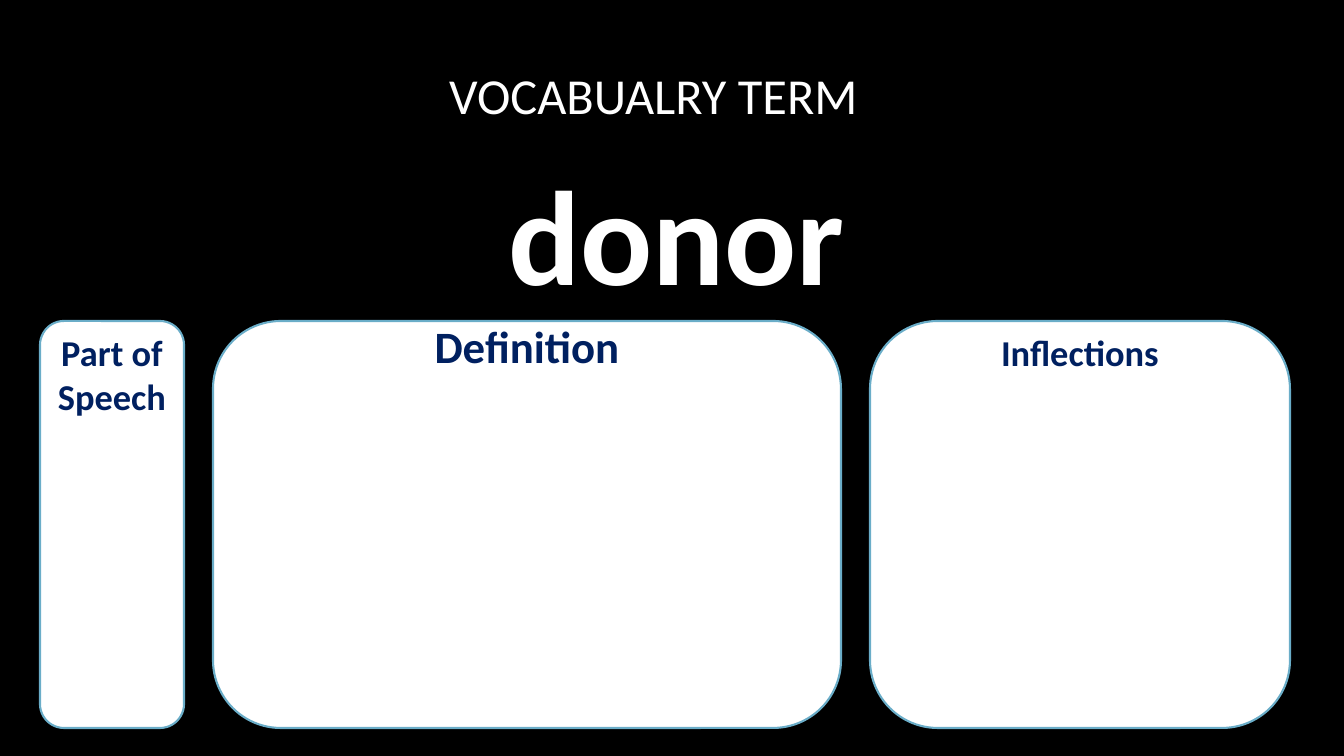
from pptx import Presentation
from pptx.dml.color import RGBColor
from pptx.enum.shapes import MSO_SHAPE
from pptx.enum.text import MSO_ANCHOR, PP_ALIGN
from pptx.util import Pt

ROUNDED = MSO_SHAPE.ROUNDED_RECTANGLE
MIDDLE = MSO_ANCHOR.MIDDLE
CENTER = PP_ALIGN.CENTER

# Content
TITLE = "VOCABUALRY TERM"
TERM = "donor"
CARDS = [  # heading, width, font size, space kept free below the heading
    ("Part of Speech", 144, 26, 301),
    ("Definition", 628, 32, 357),
    ("Inflections", 420, 26, 345),
]

# Layout in px
SCALE = 914400 / 100.8
SLIDE_WIDTH, SLIDE_HEIGHT = 1344, 756
HEAD_LEFT, HEAD_WIDTH = 118, 1117
TITLE_TOP, TITLE_HEIGHT = 46, 97
TERM_TOP, TERM_HEIGHT = 143, 177
CARD_LEFT, CARD_TOP, CARD_HEIGHT, CARD_GAP = 40, 321, 407, 29

BLACK, WHITE, NAVY, BLUE = "000000", "FFFFFF", "002060", "6AADC8"


def px(length):
    return round(length * SCALE)


def color(value):
    return RGBColor.from_string(value)


def write(shape, text, font_color, margins, **font_format):
    frame = shape.text_frame
    frame.word_wrap = True
    frame.vertical_anchor = MIDDLE
    for side, margin in zip(("left", "top", "right", "bottom"), margins):
        setattr(frame, f"margin_{side}", px(margin))
    paragraph = frame.paragraphs[0]
    paragraph.text = text
    paragraph.alignment = CENTER
    paragraph.line_spacing = 1.0
    font = paragraph.runs[0].font
    font.color.rgb = color(font_color)
    for name, value in {"name": "Calibri", **font_format}.items():
        setattr(font, name, value)


presentation = Presentation()
presentation.slide_width = px(SLIDE_WIDTH)
presentation.slide_height = px(SLIDE_HEIGHT)
slide = presentation.slides.add_slide(presentation.slide_layouts[5])
slide.background.fill.solid()
slide.background.fill.fore_color.rgb = color(BLACK)

# Title, set a little left of centre
title = slide.shapes.title
title_box = {"left": HEAD_LEFT, "top": TITLE_TOP,
             "width": HEAD_WIDTH, "height": TITLE_HEIGHT}
for name, value in title_box.items():
    setattr(title, name, px(value))
write(title, TITLE, WHITE, (10, 5, 56, 5), size=Pt(36), bold=False)

# Term
term = slide.shapes.add_textbox(
    px(HEAD_LEFT), px(TERM_TOP), px(HEAD_WIDTH), px(TERM_HEIGHT))
write(term, TERM, WHITE, (10, 5, 10, 5), size=Pt(96), bold=True)

# Cards
left = CARD_LEFT
for heading, width, size, space_below in CARDS:
    card = slide.shapes.add_shape(
        ROUNDED, px(left), px(CARD_TOP), px(width), px(CARD_HEIGHT))
    card.shadow.inherit = False
    card.fill.solid()
    card.fill.fore_color.rgb = color(WHITE)
    card.line.color.rgb = color(BLUE)
    card.line.width = Pt(1.5)
    write(card, heading, NAVY, (4, 0, 4, space_below), size=Pt(size), bold=True)
    left += width + CARD_GAP

presentation.save("out.pptx")
